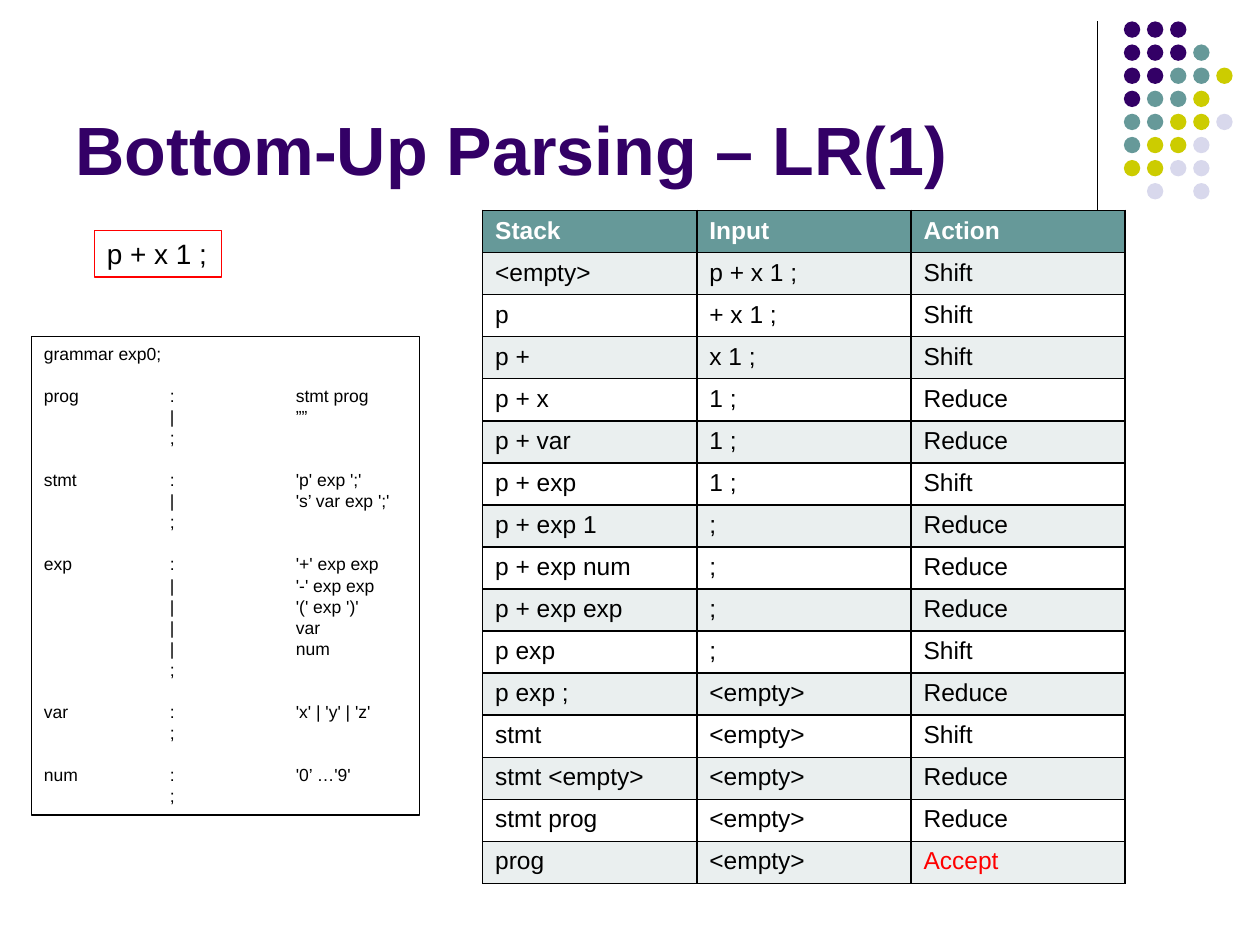
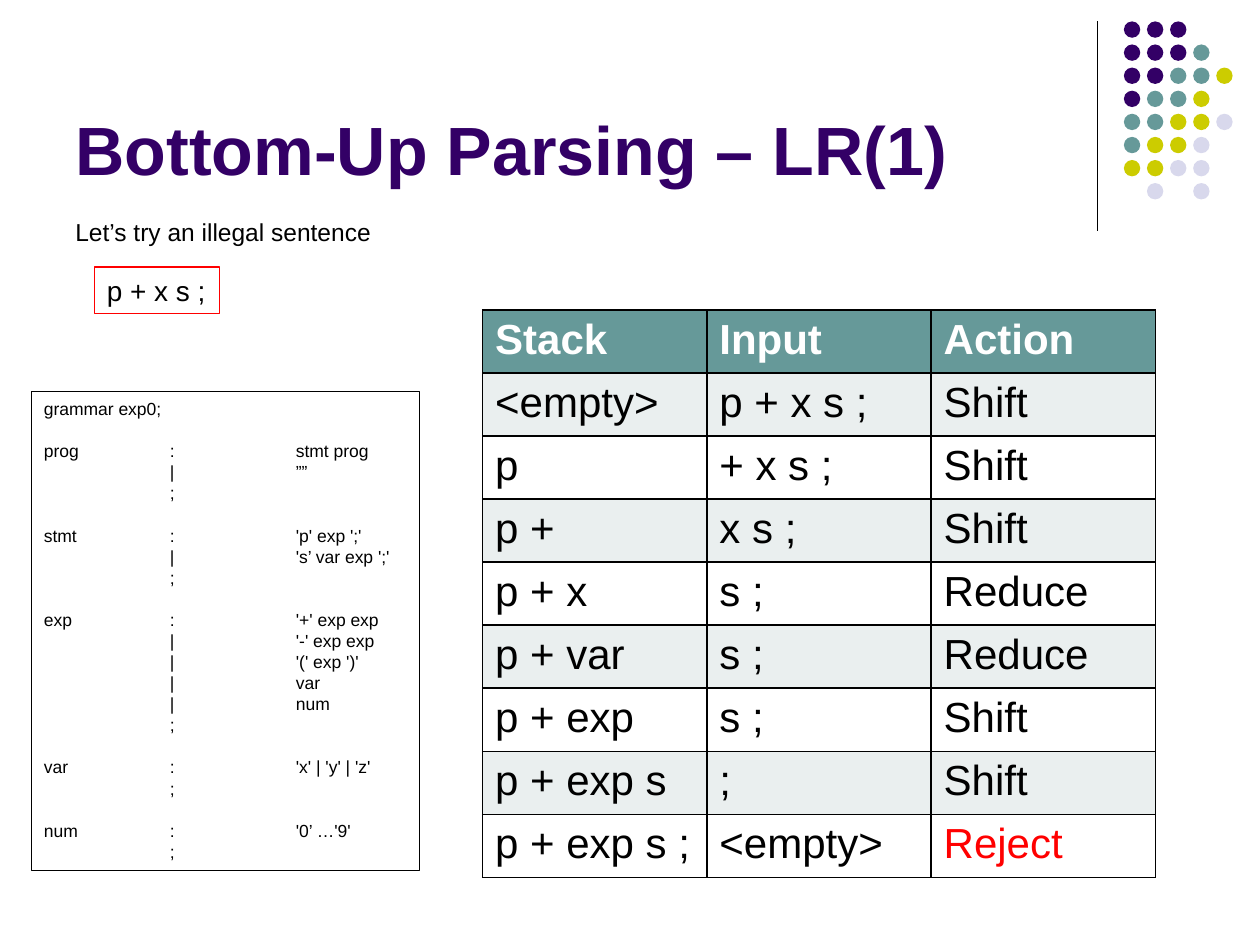
import pptx
import pptx.dml.color
import pptx.enum.shapes
import pptx.enum.text
import pptx.oxml
import pptx.oxml.ns
import pptx.util
from pptx.util import Inches

COLOURS = {
    "text": "000000",
    "title": "330066",
    "teal": "669999",
    "lime": "CCCC00",
    "lavender": "D8D8EC",
    "band": "EAEFEF",
    "white": "FFFFFF",
    "red": "FF0000",
}
DOT_COLOURS = {"P": "title", "T": "teal", "L": "lime", "V": "lavender"}
DOT_ROWS = ["PPP", "PPPT", "PPTTL", "PTTL", "TTLLV", "TLLV", "LLVV", " V V"]

TITLE = "Bottom-Up Parsing – LR(1)"
GRAMMAR = [
    ["grammar exp0;"],
    ["prog\t:\tstmt prog", "\t|\t””", "\t;"],
    ["stmt\t:\t'p' exp ';'", "\t|\t's’ var exp ';'", "\t;"],
    ["exp\t:\t'+' exp exp", "\t|\t'-' exp exp", "\t|\t'(' exp ')'",
     "\t|\tvar", "\t|\tnum", "\t;"],
    ["var\t:\t'x' | 'y' | 'z'", "\t;"],
    ["num\t:\t'0’ …'9'", "\t;"],
]
HEADER = ("Stack", "Input", "Action")
LEGAL_STEPS = [
    ("<empty>", "p + x 1 ;", "Shift"),
    ("p", "+ x 1 ;", "Shift"),
    ("p +", "x 1 ;", "Shift"),
    ("p + x", "1 ;", "Reduce"),
    ("p + var", "1 ;", "Reduce"),
    ("p + exp", "1 ;", "Shift"),
    ("p + exp 1", ";", "Reduce"),
    ("p + exp num", ";", "Reduce"),
    ("p + exp exp", ";", "Reduce"),
    ("p exp", ";", "Shift"),
    ("p exp ;", "<empty>", "Reduce"),
    ("stmt", "<empty>", "Shift"),
    ("stmt <empty>", "<empty>", "Reduce"),
    ("stmt prog", "<empty>", "Reduce"),
    ("prog", "<empty>", "Accept"),
]
ILLEGAL_STEPS = [
    ("<empty>", "p + x s ;", "Shift"),
    ("p", "+ x s ;", "Shift"),
    ("p +", "x s ;", "Shift"),
    ("p + x", "s ;", "Reduce"),
    ("p + var", "s ;", "Reduce"),
    ("p + exp", "s ;", "Shift"),
    ("p + exp s", ";", "Shift"),
    ("p + exp s ;", "<empty>", "Reject"),
]


def colour(name):
    return pptx.dml.color.RGBColor.from_string(COLOURS[name])


class ParsingDeck:
    font_name = "Arial"
    grammar_line = pptx.util.Pt(12.05)

    def __init__(self):
        self.presentation = pptx.Presentation()
        self.presentation.slide_width = Inches(10)
        self.presentation.slide_height = Inches(7.5)
        self.slide = None

    def new_slide(self):
        layout = self.presentation.slide_layouts[6]
        self.slide = self.presentation.slides.add_slide(layout)
        self.rule()
        self.dots()
        self.text_box(TITLE, 0.5, 0.13, 8.25, 1.42, size=39, color="title",
                      bold=True, anchor="BOTTOM")

    def rule(self):
        connector = self.slide.shapes.add_connector(
            pptx.enum.shapes.MSO_CONNECTOR.STRAIGHT,
            Inches(8.71), Inches(0.17), Inches(8.71), Inches(1.83))
        self.outline(connector, "text")
        connector._element.spPr.append(pptx.oxml.parse_xml(
            f'<a:effectLst {pptx.oxml.ns.nsdecls("a")}/>'))

    def dots(self):
        group = self.slide.shapes.add_group_shape()
        pitch, diameter = Inches(1.1) / 6, Inches(0.13)
        for row, pattern in enumerate(DOT_ROWS):
            for column, key in enumerate(pattern):
                if key == " ":
                    continue
                dot = group.shapes.add_shape(
                    pptx.enum.shapes.MSO_SHAPE.OVAL,
                    int(Inches(8.92) + column * pitch),
                    int(Inches(0.17) + row * pitch), diameter, diameter)
                dot.shadow.inherit = False
                dot.fill.solid()
                dot.fill.fore_color.rgb = colour(DOT_COLOURS[key])
                dot.line.fill.background()

    def outline(self, shape, color):
        shape.line.color.rgb = colour(color)
        shape.line.width = pptx.util.Pt(0.75)

    def add_text(self, paragraph, text, size, color="text", bold=False):
        run = paragraph.add_run()
        run.text = text
        style = {"name": self.font_name, "size": pptx.util.Pt(size), "bold": bold}
        for attribute, value in style.items():
            setattr(run.font, attribute, value)
        run.font.color.rgb = colour(color)

    def text_box(self, text, left, top, width, height, size, color="text",
                 bold=False, anchor="TOP", border=None, wrap=True):
        box = self.slide.shapes.add_textbox(
            Inches(left), Inches(top), Inches(width), Inches(height))
        frame_format = {
            "word_wrap": wrap,
            "vertical_anchor": getattr(pptx.enum.text.MSO_ANCHOR, anchor),
        }
        for attribute, value in frame_format.items():
            setattr(box.text_frame, attribute, value)
        if border:
            self.outline(box, border)
        if text:
            self.add_text(box.text_frame.paragraphs[0], text, size, color, bold)
        return box

    def sentence(self, text, top, width):
        self.text_box(text, 0.75, top, width, 0.37, size=16, border="red", wrap=False)

    def grammar(self, top):
        box = self.text_box("", 0.25, top, 3.08, 3.8, size=10, border="text")
        paragraph = box.text_frame.paragraphs[0]
        for rule_index, rule in enumerate(GRAMMAR):
            for line_index, line in enumerate(rule):
                if rule_index:
                    paragraph = box.text_frame.add_paragraph()
                self.add_tabs(paragraph)
                starts_rule = rule_index > 0 and line_index == 0
                spacing = {
                    "line_spacing": self.grammar_line,
                    "space_before": self.grammar_line if starts_rule else 0,
                }
                for attribute, value in spacing.items():
                    setattr(paragraph, attribute, value)
                self.add_text(paragraph, line, 10)

    def add_tabs(self, paragraph):
        stops = "".join(f'<a:tab pos="{Inches(stop)}" algn="l"/>' for stop in (1, 2))
        paragraph._p.get_or_add_pPr().append(pptx.oxml.parse_xml(
            f'<a:tabLst {pptx.oxml.ns.nsdecls("a")}>{stops}</a:tabLst>'))

    def steps_table(self, steps, top, column_width, row_height, size):
        rows = [HEADER] + steps
        table = self.slide.shapes.add_table(
            len(rows), len(HEADER), Inches(3.83), Inches(top),
            Inches(column_width * len(HEADER)),
            Inches(row_height * len(rows))).table
        for column in table.columns:
            column.width = Inches(column_width)
        for row_index, values in enumerate(rows):
            table.rows[row_index].height = Inches(row_height)
            for column_index, value in enumerate(values):
                cell = table.cell(row_index, column_index)
                header = row_index == 0
                fill = "teal" if header else "band" if row_index % 2 else "white"
                color = "white" if header else "text"
                if value in ("Accept", "Reject"):
                    color = "red"
                cell.fill.solid()
                cell.fill.fore_color.rgb = colour(fill)
                self.cell_borders(cell)
                self.add_text(cell.text_frame.paragraphs[0], value, size, color, header)

    def cell_borders(self, cell):
        properties = cell._tc.get_or_add_tcPr()
        for index, side in enumerate("LRTB"):
            properties.insert(index, pptx.oxml.parse_xml(
                f'<a:ln{side} {pptx.oxml.ns.nsdecls("a")} w="{pptx.util.Pt(1)}">'
                f'<a:solidFill><a:srgbClr val="{COLOURS["text"]}"/></a:solidFill>'
                f'</a:ln{side}>'))


def main():
    deck = ParsingDeck()

    deck.new_slide()
    deck.sentence("p + x 1 ;", top=1.83, width=1.01)
    deck.grammar(top=2.67)
    deck.steps_table(LEGAL_STEPS, top=1.67, column_width=1.7,
                     row_height=1 / 3, size=14)

    deck.new_slide()
    deck.sentence("p + x s ;", top=2.12, width=0.99)
    deck.steps_table(ILLEGAL_STEPS, top=2.46, column_width=1.78,
                     row_height=0.5, size=24)
    deck.text_box("Let’s try an illegal sentence", 0.5, 1.67, 2.57, 0.34,
                  size=14, wrap=False)
    deck.grammar(top=3.11)

    deck.presentation.save("out.pptx")


if __name__ == "__main__":
    main()
